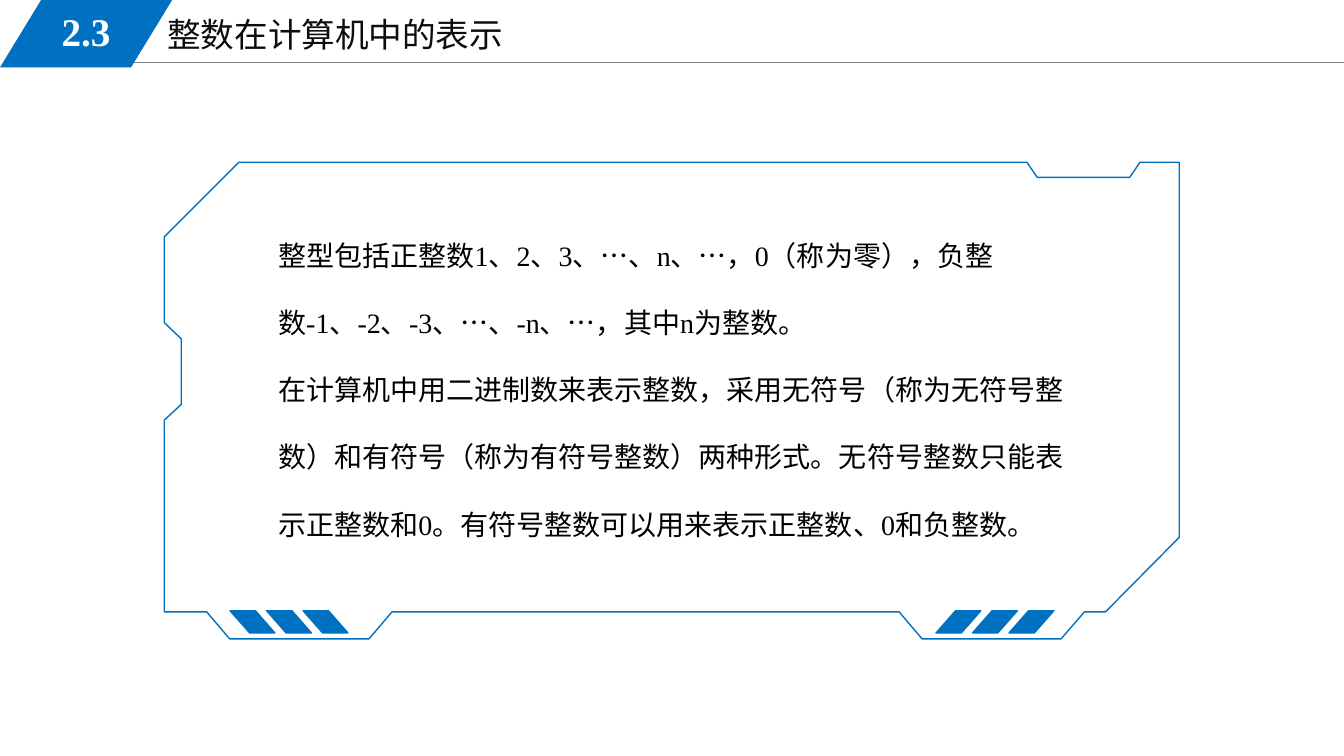
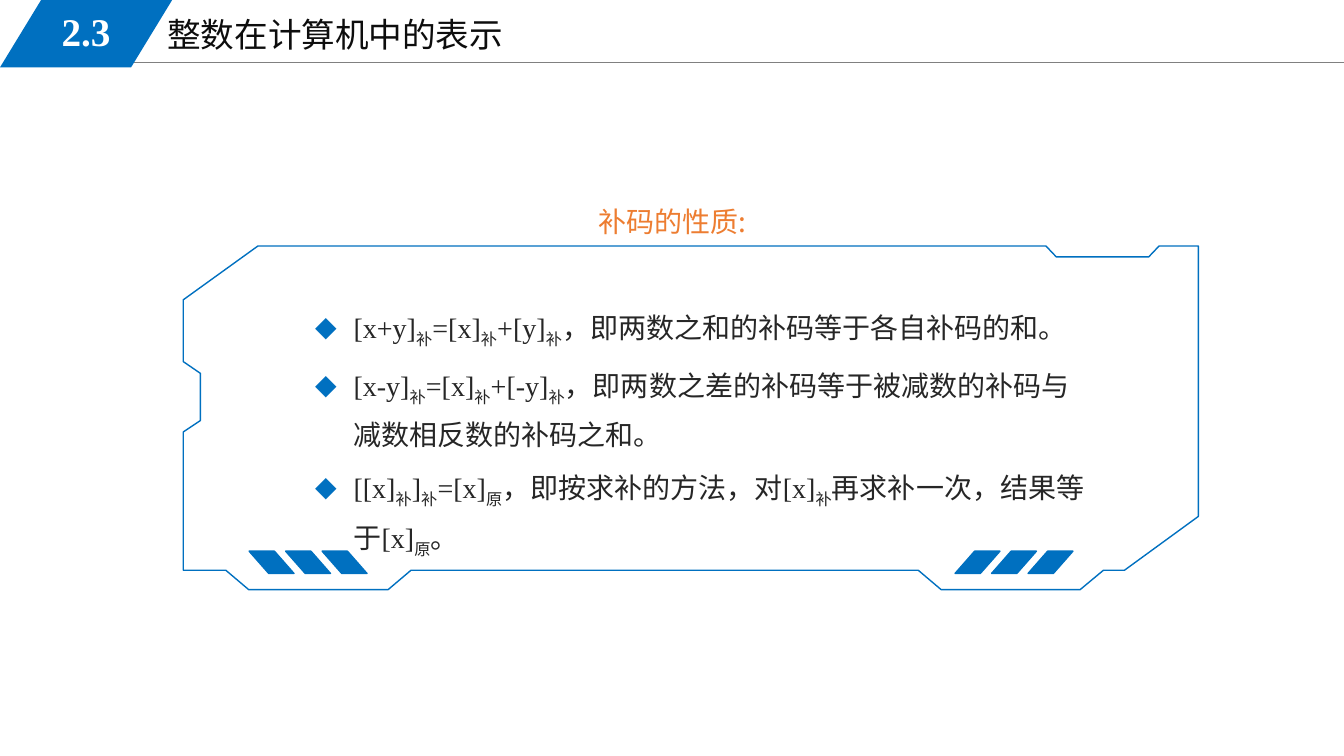
"""Build two slides on how integers are represented in a computer."""
from lxml import etree
from pptx import Presentation
from pptx.dml.color import RGBColor
from pptx.enum import shapes as es, text as et
from pptx.oxml.ns import qn
from pptx.util import Cm, Pt

COLOURS = {"blue": "0070C0", "grey": "808080", "title": "0D0D0D", "white": "FFFFFF",
           "black": "000000", "dark": "262626", "orange": "ED7D31"}
LATIN, HAN = "Times New Roman", "Noto Sans CJK SC"
NUMBER, TITLE = "2.3", "整数在计算机中的表示"

INTRO = [
    "整型包括正整数1、2、3、…、n、…，0（称为零），负整数-1、-2、-3、…、-n、…，其中n为整数。",
    "在计算机中用二进制数来表示整数，采用无符号（称为无符号整数）和有符号（称为有符号整数）"
    "两种形式。无符号整数只能表示正整数和0。有符号整数可以用来表示正整数、0和负整数。",
]
HEADING = "补码的性质:"
RULES = [
    "[x+y]|补|=[x]|补|+[y]|补|，即两数之和的补码等于各自补码的和。",
    "[x-y]|补|=[x]|补|+[-y]|补|，即两数之差的补码等于被减数的补码与减数相反数的补码之和。",
    "[[x]|补|]|补|=[x]|原|，即按求补的方法，对[x]|补|再求补一次，结果等于[x]|原|。",
]

FRAME_H = 12.01
OUTLINE = [
    (19.1, 12.01), (22.6, 12.01), (23.19, 11.33), (23.72, 11.33), (25.58, 9.45), (25.58, 0),
    (24.59, 0), (24.33, 0.38), (22, 0.38), (21.74, 0), (1.88, 0), (0, 1.88), (0, 4.04),
    (0.43, 4.45), (0.43, 6.1), (0, 6.5), (0, 11.33), (1.07, 11.33), (1.65, 12.01),
    (5.16, 12.01), (5.74, 11.33), (18.52, 11.33),
]
BARS = [(1.66, True), (19.45, False)]
BAR_W, BAR_H, BAR_STEP = 1.13, 0.56, 0.92


def rgb(name):
    return RGBColor.from_string(COLOURS[name])


def style(para, size, colour, name=LATIN, bold=False):
    font = para.font
    font.size, font.bold = Pt(size), bold
    font.color.rgb = rgb(colour)
    font.name = name
    latin = para._p.pPr.find(qn("a:defRPr")).find(qn("a:latin"))
    east = etree.Element(qn("a:ea"), typeface=HAN)
    latin.addnext(east)


def slant(slide, box, adj, line=False):
    shape = slide.shapes.add_shape(es.MSO_SHAPE.PARALLELOGRAM, *map(Cm, box))
    shape.adjustments[0] = adj
    shape.shadow.inherit = False
    shape.fill.solid()
    shape.fill.fore_color.rgb = rgb("blue")
    if line:
        shape.line.color.rgb, shape.line.width = rgb("blue"), Pt(1)
    else:
        shape.line.fill.background()
    return shape


def start(prs):
    slide = prs.slides.add_slide(prs.slide_layouts[5])
    rule = slide.shapes.add_connector(es.MSO_CONNECTOR.STRAIGHT, Cm(2.87), Cm(1.57),
                                      prs.slide_width, Cm(1.57))
    rule.line.color.rgb, rule.line.width = rgb("grey"), Pt(0.75)
    etree.SubElement(rule._element.spPr, qn("a:effectLst"))

    title = slide.shapes.title
    title.left, title.top, title.width, title.height = map(Cm, (3.96, 0.23, 14.4, 1.3))
    frame = title.text_frame
    frame.text = TITLE
    frame.auto_size = et.MSO_AUTO_SIZE.NONE
    frame.vertical_anchor = et.MSO_ANCHOR.TOP
    frame.paragraphs[0].alignment = et.PP_ALIGN.LEFT
    style(frame.paragraphs[0], 24, "title")

    badge = slant(slide, (0, 0, 4.34, 1.7), 0.61).text_frame
    badge.text = NUMBER
    badge.word_wrap = False
    badge.vertical_anchor = et.MSO_ANCHOR.MIDDLE
    badge.margin_top, badge.margin_bottom = 0, Cm(0.13)
    badge.paragraphs[0].alignment = et.PP_ALIGN.CENTER
    style(badge.paragraphs[0], 28, "white", bold=True)
    return slide


def panel(slide, left, top, height, bar_top):
    points = [(Cm(left + x), Cm(top + y * height / FRAME_H)) for x, y in OUTLINE]
    pen = slide.shapes.build_freeform(*points[0], scale=1.0)
    pen.add_line_segments(points[1:], close=True)
    frame = pen.convert_to_shape()
    frame.shadow.inherit = False
    frame.fill.background()
    frame.line.color.rgb, frame.line.width = rgb("blue"), Pt(1)
    for first, flip in BARS:
        for i in range(3):
            bar = slant(slide, (left + first + i * BAR_STEP, bar_top, BAR_W, BAR_H), 0.88, True)
            if flip:
                bar._element.spPr.xfrm.set("flipH", "1")


def write(slide, box, lines, colour, gap, name=LATIN, bullet=False):
    frame = slide.shapes.add_textbox(*map(Cm, box)).text_frame
    frame.word_wrap = True
    for i, line in enumerate(lines):
        para = frame.paragraphs[0] if i == 0 else frame.add_paragraph()
        para.line_spacing = gap
        if bullet:
            if i:
                para.space_before = Pt(6)
            props = para._p.get_or_add_pPr()
            props.set("marL", str(Cm(1.93)))
            props.set("indent", str(-Cm(0.97)))
            tint = etree.SubElement(props, qn("a:buClr"))
            etree.SubElement(tint, qn("a:srgbClr"), val=COLOURS["blue"])
            etree.SubElement(props, qn("a:buChar"), char="◆")
        for j, part in enumerate(line.split("|")):
            run = para.add_run()
            run.text = part
            if j % 2:
                run._r.get_or_add_rPr().set("baseline", "-25000")
        style(para, 20, colour, name)


def main():
    prs = Presentation()
    prs.slide_width, prs.slide_height = Cm(33.87), Cm(19.05)

    slide = start(prs)
    panel(slide, 4.14, 4.09, FRAME_H, 15.39)
    write(slide, (6.76, 5.03, 20.5, 9.93), INTRO, "black", 2.0)

    slide = start(prs)
    write(slide, (14.83, 4.6, 16.94, 1.4), [HEADING], "orange", 1.5, HAN)
    panel(slide, 4.62, 6.2, 8.66, 13.89)
    write(slide, (6.73, 7.42, 20.85, 7.52), RULES, "dark", 1.3, bullet=True)

    prs.save("out.pptx")


if __name__ == "__main__":
    main()
